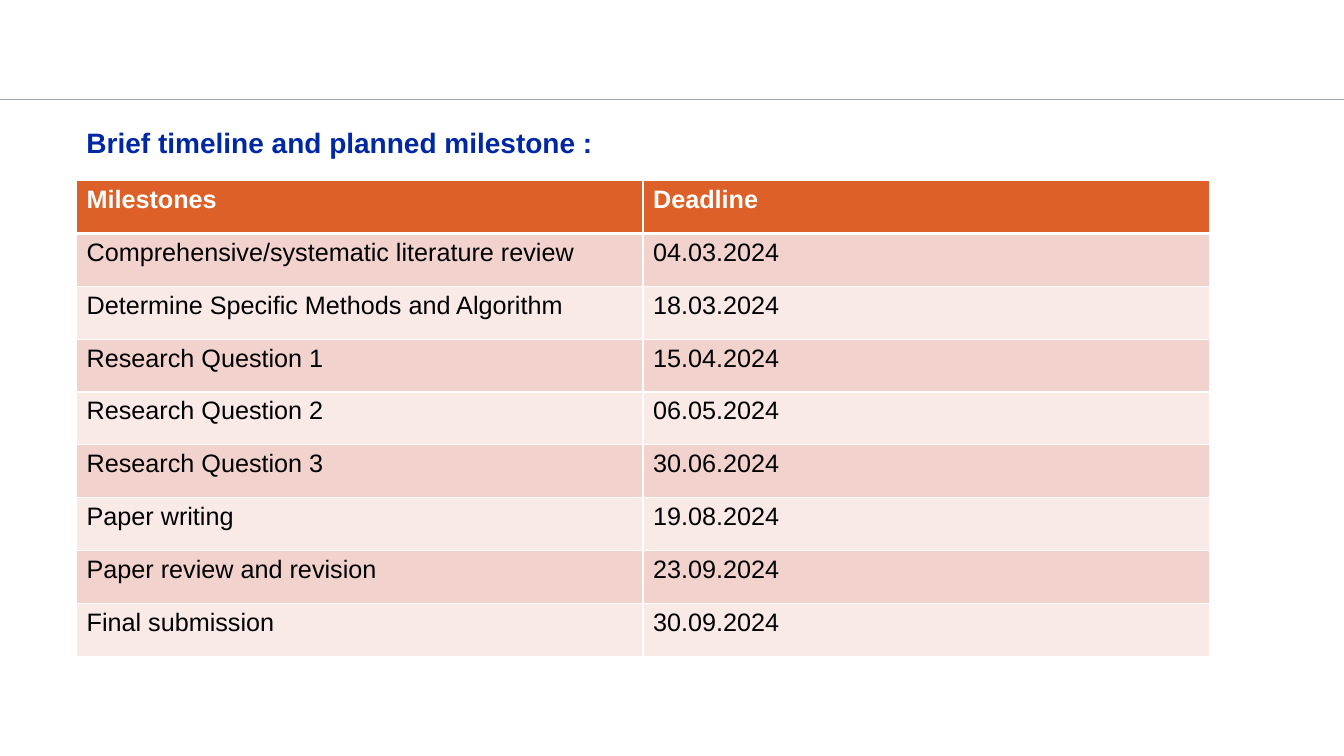
import dataclasses

import lxml.etree
import pptx
import pptx.dml.color
import pptx.enum.shapes
import pptx.oxml.ns
import pptx.util

Cm = pptx.util.Cm
Pt = pptx.util.Pt
qn = pptx.oxml.ns.qn


@dataclasses.dataclass(frozen=True)
class Theme:
    font: str = "Arial"
    title_size: int = 20
    cell_size: int = 18
    title: str = "0028A5"
    text: str = "000000"
    white: str = "FFFFFF"
    rule: str = "A3ADB7"
    header: str = "DC6027"
    bands: tuple = ("F2D2CD", "F9EAE8")


MILESTONES = [
    ("Milestones", "Deadline"),
    ("Comprehensive/systematic literature review", "04.03.2024"),
    ("Determine Specific Methods and Algorithm", "18.03.2024"),
    ("Research Question 1", "15.04.2024"),
    ("Research Question 2", "06.05.2024"),
    ("Research Question 3", "30.06.2024"),
    ("Paper writing", "19.08.2024"),
    ("Paper review and revision", "23.09.2024"),
    ("Final submission", "30.09.2024"),
]


def rgb(value):
    return pptx.dml.color.RGBColor.from_string(value)


class SlideBuilder:
    """Draw styled elements on one slide."""

    def __init__(self, slide, theme):
        self.s = slide
        self.theme = theme

    def set_text(self, tf, text, size, color, bold):
        tf.text = text
        for p in tf.paragraphs:
            for r in p.runs:
                r.font.name = self.theme.font
                r.font.size = Pt(size)
                r.font.bold = bold
                r.font.color.rgb = rgb(color)

    def rule(self, y, width):
        line = self.s.shapes.add_connector(
            pptx.enum.shapes.MSO_CONNECTOR.STRAIGHT, 0, y, width, y)
        line.line.color.rgb = rgb(self.theme.rule)
        line.line.width = Pt(1.25)
        lxml.etree.SubElement(line._element.spPr, qn("a:effectLst"))

    def heading(self, text, left, top, width, height):
        sp = self.s.shapes.add_textbox(left, top, width, height)
        sp.text_frame.word_wrap = True
        self.set_text(sp.text_frame, text, self.theme.title_size, self.theme.title, True)

    def border(self, cell, side, width):
        tcPr = cell._tc.get_or_add_tcPr()
        ln = lxml.etree.SubElement(tcPr, qn(f"a:ln{side}"), w=str(Pt(width)))
        fill = lxml.etree.SubElement(ln, qn("a:solidFill"))
        lxml.etree.SubElement(fill, qn("a:srgbClr"), val=self.theme.white)

    def table(self, rows, left, top, width, height):
        t = self.theme
        table = self.s.shapes.add_table(
            len(rows), len(rows[0]), left, top, width, height).table
        for i, row in enumerate(rows):
            head = i == 0
            for j, text in enumerate(row):
                cell = table.cell(i, j)
                for side in "LRTB":
                    thick = (head and side == "B") or (i == 1 and side == "T")
                    self.border(cell, side, 3 if thick else 1)
                cell.fill.solid()
                cell.fill.fore_color.rgb = rgb(t.header if head else t.bands[(i - 1) % 2])
                self.set_text(cell.text_frame, text, t.cell_size,
                              t.white if head else t.text, head)


def main():
    prs = pptx.Presentation()
    prs.slide_width, prs.slide_height = Cm(33.87), Cm(19.05)
    slide = SlideBuilder(prs.slides.add_slide(prs.slide_layouts[6]), Theme())
    left = Cm(1.93)
    slide.rule(Cm(2.51), prs.slide_width)
    slide.heading("Brief timeline and planned milestone :",
                  left, Cm(3.05), Cm(21.23), Cm(1.96))
    slide.table(MILESTONES, left, Cm(4.55), Cm(28.55), Cm(11.99))
    prs.save("out.pptx")


if __name__ == "__main__":
    main()
